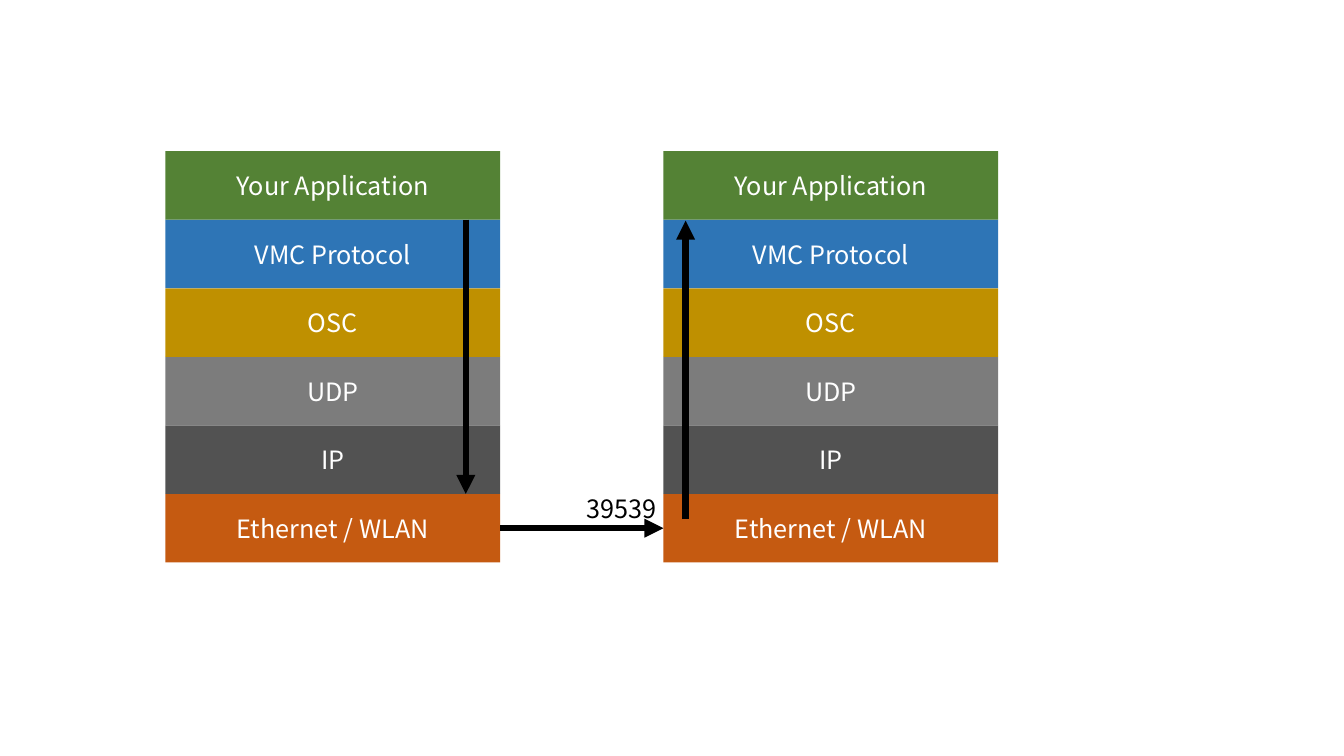
"""Two protocol stacks exchanging data over port 39539."""
from lxml import etree
from pptx import Presentation, util as u
from pptx.dml.color import RGBColor
from pptx.enum import shapes, text
from pptx.oxml.ns import qn

FONT = "Noto Sans CJK JP"
COLORS = {
    "Ethernet / WLAN": "C55A11",
    "IP": "525252",
    "UDP": "7C7C7C",
    "OSC": "BF9000",
    "VMC Protocol": "2E75B6",
    "Your Application": "548235",
    "label": "FFFFFF",
    "ink": "000000",
}
LAYERS = list(COLORS)[:6]
SENDER_LEFT, RECEIVER_LEFT = 1.64, 6.58
STACK_TOP, LAYER_WIDTH, LAYER_HEIGHT = 1.5, 3.32, 0.68


def write(paragraph, wording, color):
    paragraph.text = wording
    paragraph.font.name = FONT
    paragraph.font.size = u.Pt(18)
    paragraph.font.color.rgb = RGBColor.from_string(COLORS[color])


def draw_arrow(x1, y1, x2, y2):
    arrow = slide.shapes.add_connector(
        shapes.MSO_CONNECTOR.STRAIGHT, u.Inches(x1), u.Inches(y1), u.Inches(x2), u.Inches(y2))
    arrow.line.color.rgb = RGBColor.from_string(COLORS["ink"])
    arrow.line.width = u.Pt(4.5)
    etree.SubElement(arrow.line._get_or_add_ln(), qn("a:tailEnd"), type="triangle")
    etree.SubElement(arrow._element.spPr, qn("a:effectLst"))
    return arrow


prs = Presentation()
prs.slide_width, prs.slide_height = u.Inches(13.33), u.Inches(7.5)
slide = prs.slides.add_slide(prs.slide_layouts[6])

network_layers = []
for stack_left in (SENDER_LEFT, RECEIVER_LEFT):
    for level, name in enumerate(LAYERS):
        row = len(LAYERS) - 1 - level
        layer = slide.shapes.add_shape(
            shapes.MSO_SHAPE.RECTANGLE,
            u.Inches(stack_left), u.Inches(STACK_TOP + row * LAYER_HEIGHT),
            u.Inches(LAYER_WIDTH), u.Inches(LAYER_HEIGHT))
        layer.shadow.inherit = False
        layer.fill.solid()
        layer.fill.fore_color.rgb = RGBColor.from_string(COLORS[name])
        layer.line.fill.background()
        layer.text_frame.vertical_anchor = text.MSO_ANCHOR.MIDDLE
        caption = layer.text_frame.paragraphs[0]
        caption.alignment = text.PP_ALIGN.CENTER
        write(caption, name, "label")
        if level == 0:
            network_layers.append(layer)

protocol_top = STACK_TOP + LAYER_HEIGHT
network_top = STACK_TOP + 5 * LAYER_HEIGHT
network_middle = network_top + LAYER_HEIGHT / 2

draw_arrow(4.62, protocol_top, 4.62, network_top)
transfer = draw_arrow(SENDER_LEFT + LAYER_WIDTH, network_middle, RECEIVER_LEFT, network_middle)
transfer.begin_connect(network_layers[0], 3)
transfer.end_connect(network_layers[1], 1)
draw_arrow(6.8, network_top + 0.25, 6.8, protocol_top + 0.01)

port = slide.shapes.add_textbox(u.Inches(5.72), u.Inches(4.84), u.Inches(0.9), u.Inches(0.4))
port.text_frame.word_wrap = True
port.text_frame.auto_size = text.MSO_AUTO_SIZE.SHAPE_TO_FIT_TEXT
write(port.text_frame.paragraphs[0], "39539", "ink")

prs.save("out.pptx")
